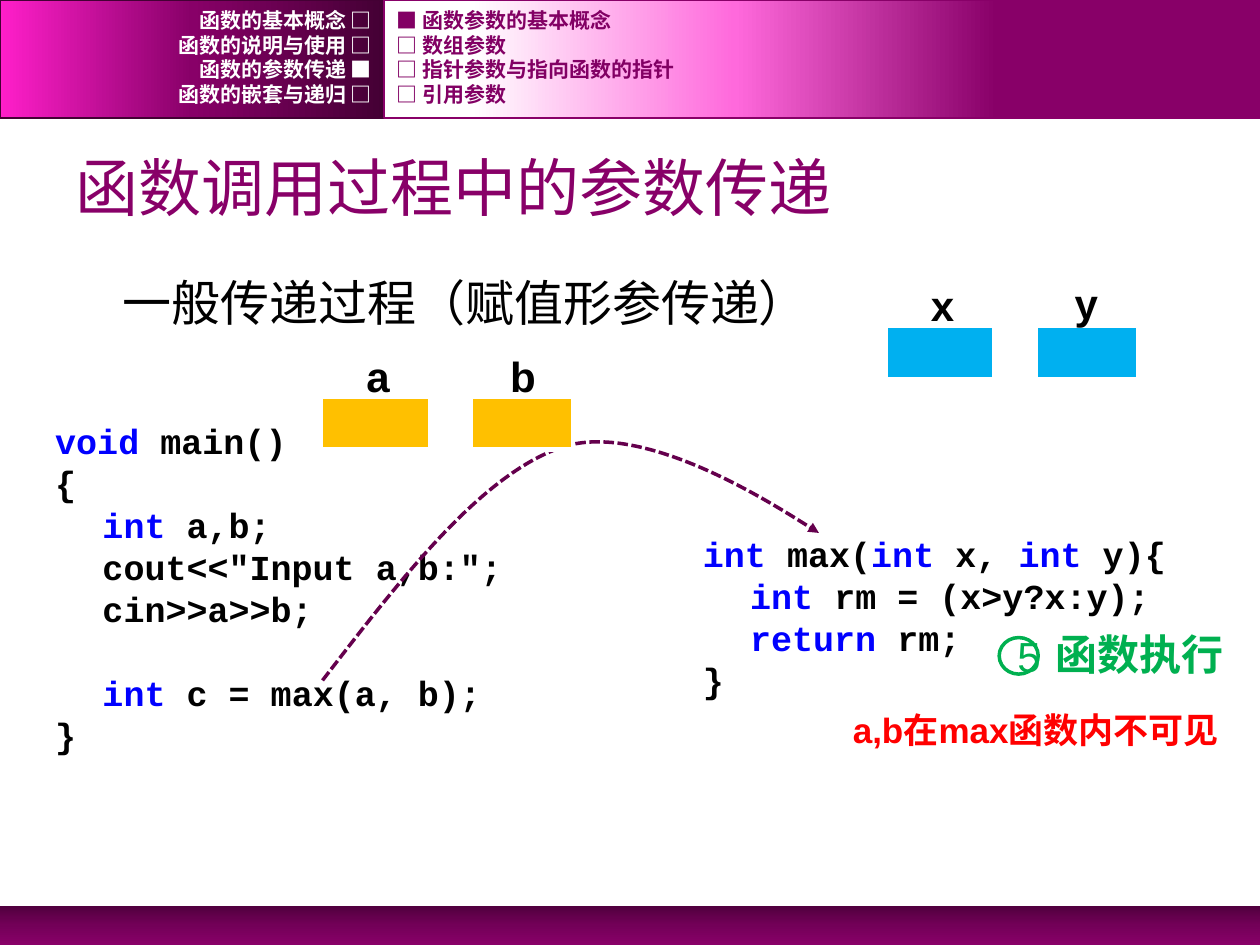
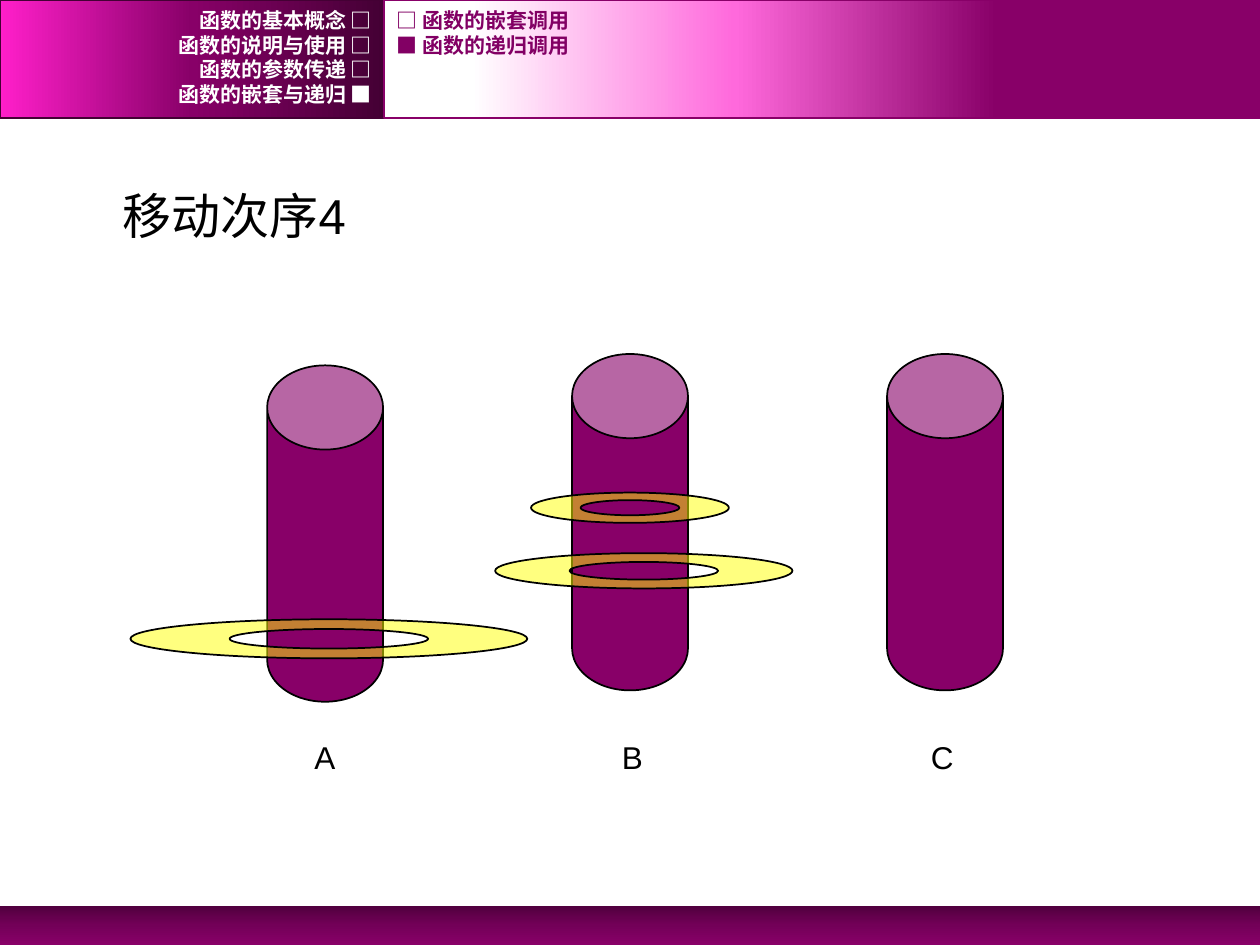
from dataclasses import dataclass
from typing import NamedTuple

from lxml import etree
from pptx import Presentation
from pptx.dml.color import RGBColor
from pptx.enum.dml import MSO_LINE
from pptx.enum.shapes import MSO_SHAPE
from pptx.enum.text import MSO_ANCHOR, MSO_AUTO_SIZE, PP_ALIGN
from pptx.oxml.ns import qn
from pptx.util import Inches, Pt

RECTANGLE, OVAL, CAN = MSO_SHAPE.RECTANGLE, MSO_SHAPE.OVAL, MSO_SHAPE.CAN
LEFT, CENTER, RIGHT = PP_ALIGN.LEFT, PP_ALIGN.CENTER, PP_ALIGN.RIGHT
TOP, MIDDLE = MSO_ANCHOR.TOP, MSO_ANCHOR.MIDDLE
NO_AUTOFIT = MSO_AUTO_SIZE.NONE
SHORT_DASH = MSO_LINE.SQUARE_DOT
HANGING = Inches(3 / 8)
ELLIPSE_HANDLE = 0.55  # Bezier handle length as a share of the radius

Point = tuple[float, float]


@dataclass(frozen=True)
class Theme:
    plum: str = "880068"
    dark_plum: str = "440034"
    arrow: str = "65004D"
    topic: str = "820064"
    white: str = "FFFFFF"
    black: str = "000000"
    keyword: str = "0000FF"
    green: str = "00B050"
    red: str = "FF0000"
    argument: str = "FFC000"
    parameter: str = "00B0F0"
    ring: str = "FFFF00"
    sans: str = "Arial"
    mono: str = "Courier New"
    title_size: int = 36
    body_size: int = 28
    large_size: int = 24
    code_size: int = 20
    label_size: int = 18
    outline_size: int = 12


THEME = Theme()


class Box(NamedTuple):
    left: float
    top: float
    width: float
    height: float


class Style(NamedTuple):
    size: int
    color: str = THEME.black
    font: str = THEME.sans
    bold: bool = False


class Band(NamedTuple):
    box: Box
    stops: list[tuple[int, str]]
    angle: int
    line: str | None


class CodeLine(NamedTuple):
    runs: list[str]  # a leading * marks a keyword
    gap_before: int = 0


class Variable(NamedTuple):
    name: str
    label: Box
    cell: Box
    color: str


class Ring(NamedTuple):
    center_x: float
    center_y: float
    width: float
    height: float


BANDS = [
    Band(Box(0, 7.19, 10, 0.31),
         [(0, "51003E"), (50, "730058"), (100, THEME.plum)], 270, None),
    Band(Box(0, 0, 3.05, 0.94),
         [(0, THEME.dark_plum), (50, THEME.plum), (100, "FF1FCA")], 180, THEME.dark_plum),
    Band(Box(3.05, 0, 6.95, 0.94),
         [(30, THEME.plum), (60, "FF69DC"), (90, THEME.white)], 180, THEME.plum),
]
CHAPTERS = ["函数的基本概念", "函数的说明与使用", "函数的参数传递", "函数的嵌套与递归"]

MAIN_CODE = [
    CodeLine(["*void ", "main()"]),
    CodeLine(["{"]),
    CodeLine(["\t", "*int ", "a,b;"]),
    CodeLine(['\tcout<<"Input a,b:";']),
    CodeLine(["\tcin>>a>>b;"]),
    CodeLine(["\t", "*int", " c = max(a, b);"], 24),
    CodeLine(["}"]),
]
MAX_CODE = [
    CodeLine(["*int ", "max(", "*int ", "x, ", "*int ", "y){"]),
    CodeLine(["\t", "*int ", "rm = (x>y?x:y);"]),
    CodeLine(["\t", "*return ", "rm;"]),
    CodeLine(["}"]),
]
VARIABLES = [
    Variable("x", Box(7.29, 2.17, 0.39, 0.5), Box(7.04, 2.6, 0.84, 0.41), THEME.parameter),
    Variable("y", Box(8.43, 2.15, 0.39, 0.5), Box(8.23, 2.6, 0.79, 0.41), THEME.parameter),
    Variable("a", Box(2.81, 2.73, 0.39, 0.5), Box(2.56, 3.16, 0.84, 0.41), THEME.argument),
    Variable("b", Box(3.95, 2.73, 0.41, 0.5), Box(3.75, 3.16, 0.79, 0.41), THEME.argument),
]
CALL_CURVE = [(2.56, 5.4), (3.2, 4.57), (3.84, 3.74), (4.49, 3.54),
              (5.15, 3.35), (6.5, 4.23), (6.5, 4.23)]
CALL_CURVE_TOP = 3.51
PILLARS = [Box(2.12, 2.9, 0.92, 2.67), Box(4.54, 2.81, 0.92, 2.67), Box(7.04, 2.81, 0.92, 2.67)]
PILLAR_TABS = [0.28, 2.72, 5.18]
RINGS = [Ring(5, 4.03, 1.57, 0.24), Ring(5.11, 4.53, 2.36, 0.28), Ring(2.61, 5.07, 3.15, 0.31)]


# Shared drawing helpers
def emu(box: Box) -> list[int]:
    return [Inches(value) for value in box]


def add_run(paragraph, text: str, style: Style) -> None:
    run = paragraph.add_run()
    run.text = text
    run.font.name = style.font
    run.font.size = Pt(style.size)
    run.font.bold = style.bold
    run.font.color.rgb = RGBColor.from_string(style.color)


def set_line(shape, color: str | None, width: float = 1) -> None:
    if color is None:
        shape.line.fill.background()
        return
    shape.line.color.rgb = RGBColor.from_string(color)
    shape.line.width = Pt(width)


def set_fill(shape, color: str | None) -> None:
    if color is None:
        shape.fill.background()
        return
    shape.fill.solid()
    shape.fill.fore_color.rgb = RGBColor.from_string(color)


def add_shape(slide, kind, box: Box, fill: str | None, line: str | None, width: float = 1):
    shape = slide.shapes.add_shape(kind, *emu(box))
    shape.shadow.inherit = False
    set_fill(shape, fill)
    set_line(shape, line, width)
    return shape


def add_curve(slide, contours: list[list[Point]], closed: bool):
    """Draw contours given as a start point and three points for each Bezier segment."""
    scaled = [[(Inches(x), Inches(y)) for x, y in contour] for contour in contours]
    builder = slide.shapes.build_freeform(*scaled[0][0])
    for index, contour in enumerate(scaled):
        if index:
            builder.move_to(*contour[0])
        builder.add_line_segments(contour[1:], close=closed)
    shape = builder.convert_to_shape()
    shape.shadow.inherit = False
    outline = shape.element.find(".//" + qn("a:path"))
    lines = outline.findall(qn("a:lnTo"))
    for start in range(0, len(lines), 3):
        curve = etree.Element(qn("a:cubicBezTo"))
        lines[start].addprevious(curve)
        for line in lines[start:start + 3]:
            curve.append(line.find(qn("a:pt")))
            outline.remove(line)
    return shape


def add_text(slide, box: Box, text: str, style: Style, align=LEFT, anchor=TOP, wrap: bool = True):
    frame = slide.shapes.add_textbox(*emu(box)).text_frame
    frame.word_wrap = wrap
    frame.vertical_anchor = anchor
    paragraph = frame.paragraphs[0]
    paragraph.alignment = align
    add_run(paragraph, text, style)
    return paragraph


def fill_placeholder(placeholder, box: Box, text: str, style: Style, anchor, indent: int = 0) -> None:
    placeholder.left, placeholder.top, placeholder.width, placeholder.height = emu(box)
    frame = placeholder.text_frame
    frame.auto_size = NO_AUTOFIT
    frame.vertical_anchor = anchor
    paragraph = frame.paragraphs[0]
    paragraph.alignment = LEFT
    properties = paragraph._p.get_or_add_pPr()
    properties.set("marL", str(indent))
    properties.set("indent", "0")
    etree.SubElement(properties, qn("a:buNone"))
    add_run(paragraph, text, style)


# Bands on the slide master
def add_band(slide, band: Band):
    shape = add_shape(slide, RECTANGLE, band.box, None, band.line)
    shape.fill.gradient()
    shape.fill.gradient_angle = band.angle
    stop_list = shape.element.spPr.find(".//" + qn("a:gsLst"))
    for old_stop in list(stop_list):
        stop_list.remove(old_stop)
    for position, color in band.stops:
        stop = etree.SubElement(stop_list, qn("a:gs"), pos=str(position * 1000))
        etree.SubElement(stop, qn("a:srgbClr"), val=color)
    return shape


def move_bands_to_master(presentation, slide) -> None:
    master_tree = presentation.slide_master.shapes.element
    for index, band in enumerate(BANDS):
        master_tree.insert(2 + index, add_band(slide, band).element)


# Outline in the header: chapters on the left, topics on the right
def add_outline(slide, chapter: int, topics: list[str], topic: int) -> None:
    def mark(index: int, current: int) -> str:
        return "■" if index == current else "□"

    def row(left: float, width: float, index: int) -> Box:
        return Box(left, round(0.06 + index * 0.59 / 3, 2), width, 0.2)

    for index, text in enumerate(CHAPTERS):
        add_text(slide, row(0, 3.05, index), f"{text} {mark(index, chapter)}",
                 Style(THEME.outline_size, THEME.white, THEME.mono, True), RIGHT, MIDDLE)
    for index, text in enumerate(topics):
        add_text(slide, row(3.05, 6.02, index), f"{mark(index, topic)} {text}",
                 Style(THEME.outline_size, THEME.topic, THEME.mono, True), LEFT, MIDDLE)


# Parts of the parameter passing slide
def add_code(slide, box: Box, lines: list[CodeLine]) -> None:
    frame = slide.shapes.add_textbox(*emu(box)).text_frame
    frame.word_wrap = True
    for index, line in enumerate(lines):
        paragraph = frame.add_paragraph() if index else frame.paragraphs[0]
        paragraph.line_spacing = Pt(24)
        paragraph.space_before = Pt(line.gap_before)
        properties = paragraph._p.get_or_add_pPr()
        properties.set("marL", str(HANGING))
        properties.set("indent", str(-HANGING))
        for text in line.runs:
            color = THEME.keyword if text.startswith("*") else THEME.black
            add_run(paragraph, text.removeprefix("*"), Style(THEME.code_size, color, THEME.mono, True))


def add_variable(slide, variable: Variable) -> None:
    table = slide.shapes.add_table(1, 1, *emu(variable.cell)).table
    table.first_row = table.horz_banding = False
    cell = table.cell(0, 0)
    properties = cell._tc.get_or_add_tcPr()
    for side, width in {"L": 1, "R": 1, "T": 1, "B": 3}.items():
        border = etree.SubElement(properties, qn(f"a:ln{side}"), w=str(Pt(width)))
        solid = etree.SubElement(border, qn("a:solidFill"))
        etree.SubElement(solid, qn("a:srgbClr"), val=THEME.white)
    set_fill(cell, variable.color)
    add_text(slide, variable.label, variable.name, Style(THEME.large_size, bold=True), wrap=False)


def add_call_arrow(slide) -> None:
    arrow = add_curve(slide, [CALL_CURVE], closed=False)
    set_fill(arrow, None)
    set_line(arrow, THEME.arrow, 2)
    arrow.line.dash_style = SHORT_DASH
    etree.SubElement(arrow.line._get_or_add_ln(), qn("a:tailEnd"), type="triangle")
    # Fit the frame to the curve, since one handle reaches above it
    overshoot = Inches(CALL_CURVE_TOP) - arrow.top
    arrow.top, arrow.height = arrow.top + overshoot, arrow.height - overshoot
    outline = arrow.element.find(".//" + qn("a:path"))
    outline.set("h", str(arrow.height))
    for point in outline.iter(qn("a:pt")):
        point.set("y", str(int(point.get("y")) - overshoot))


# Parts of the tower slide
def ellipse(ring: Ring, scale: float, turn: int) -> list[Point]:
    handle = ELLIPSE_HANDLE
    unit = [(-1, 0), (-1, -handle), (-handle, -1), (0, -1), (handle, -1), (1, -handle), (1, 0),
            (1, handle), (handle, 1), (0, 1), (-handle, 1), (-1, handle), (-1, 0)]
    return [(ring.center_x + x * scale * ring.width / 2,
             ring.center_y + y * turn * scale * ring.height / 2) for x, y in unit]


def add_ring(slide, ring: Ring) -> None:
    shape = add_curve(slide, [ellipse(ring, 1, 1), ellipse(ring, 0.5, -1)], closed=True)
    set_fill(shape, THEME.ring)
    color = shape.element.spPr.find(qn("a:solidFill")).find(qn("a:srgbClr"))
    etree.SubElement(color, qn("a:alpha"), val="50000")
    set_line(shape, THEME.black)


def add_pillar_labels(slide) -> None:
    paragraph = add_text(slide, Box(2.2, 5.81, 6, 0.4), "\tA\tB\tC", Style(THEME.label_size))
    tabs = etree.SubElement(paragraph._p.get_or_add_pPr(), qn("a:tabLst"))
    for position in PILLAR_TABS:
        etree.SubElement(tabs, qn("a:tab"), pos=str(Inches(position)), algn="ctr")


# Slides
def build_passing_slide(slide) -> None:
    title, body = slide.placeholders
    fill_placeholder(title, Box(0.5, 1.09, 9, 0.78), "函数调用过程中的参数传递",
                     Style(THEME.title_size, THEME.plum), MIDDLE)
    fill_placeholder(body, Box(0.5, 2.11, 9, 0.78), "一般传递过程（赋值形参传递）",
                     Style(THEME.body_size), TOP, HANGING)
    add_outline(slide, 2, ["函数参数的基本概念", "数组参数", "指针参数与指向函数的指针", "引用参数"], 0)
    add_code(slide, Box(5.48, 4.18, 4.21, 1.47), MAX_CODE)
    add_code(slide, Box(0.34, 3.28, 4.96, 2.58), MAIN_CODE)
    add_text(slide, Box(8.28, 4.94, 1.6, 0.5), "函数执行", Style(THEME.large_size, THEME.green, bold=True))
    step = add_shape(slide, OVAL, Box(7.93, 5.06, 0.31, 0.29), None, THEME.green, 2)
    step.text_frame.vertical_anchor = MIDDLE
    step.text_frame.paragraphs[0].alignment = CENTER
    add_run(step.text_frame.paragraphs[0], "5", Style(THEME.large_size, THEME.green))
    add_call_arrow(slide)
    add_text(slide, Box(6.67, 5.57, 3.14, 0.44), "a,b在max函数内不可见",
             Style(THEME.code_size, THEME.red, bold=True))
    for variable in VARIABLES:
        add_variable(slide, variable)


def build_tower_slide(slide) -> None:
    title, body = slide.placeholders
    title.element.getparent().remove(title.element)
    fill_placeholder(body, Box(0.5, 1.42, 8.92, 0.61), "移动次序4", Style(THEME.body_size), TOP, HANGING)
    for box in PILLARS:
        add_shape(slide, CAN, box, THEME.plum, THEME.black).adjustments[0] = 0.727
    for ring in RINGS:
        add_ring(slide, ring)
    add_pillar_labels(slide)
    add_outline(slide, 3, ["函数的嵌套调用", "函数的递归调用"], 1)


def main() -> None:
    presentation = Presentation()
    presentation.slide_width, presentation.slide_height = Inches(10), Inches(7.5)
    layout = presentation.slide_layouts.get_by_name("Title and Content")
    passing_slide, tower_slide = [presentation.slides.add_slide(layout) for _ in range(2)]
    move_bands_to_master(presentation, passing_slide)
    build_passing_slide(passing_slide)
    build_tower_slide(tower_slide)
    presentation.save("out.pptx")


if __name__ == "__main__":
    main()
